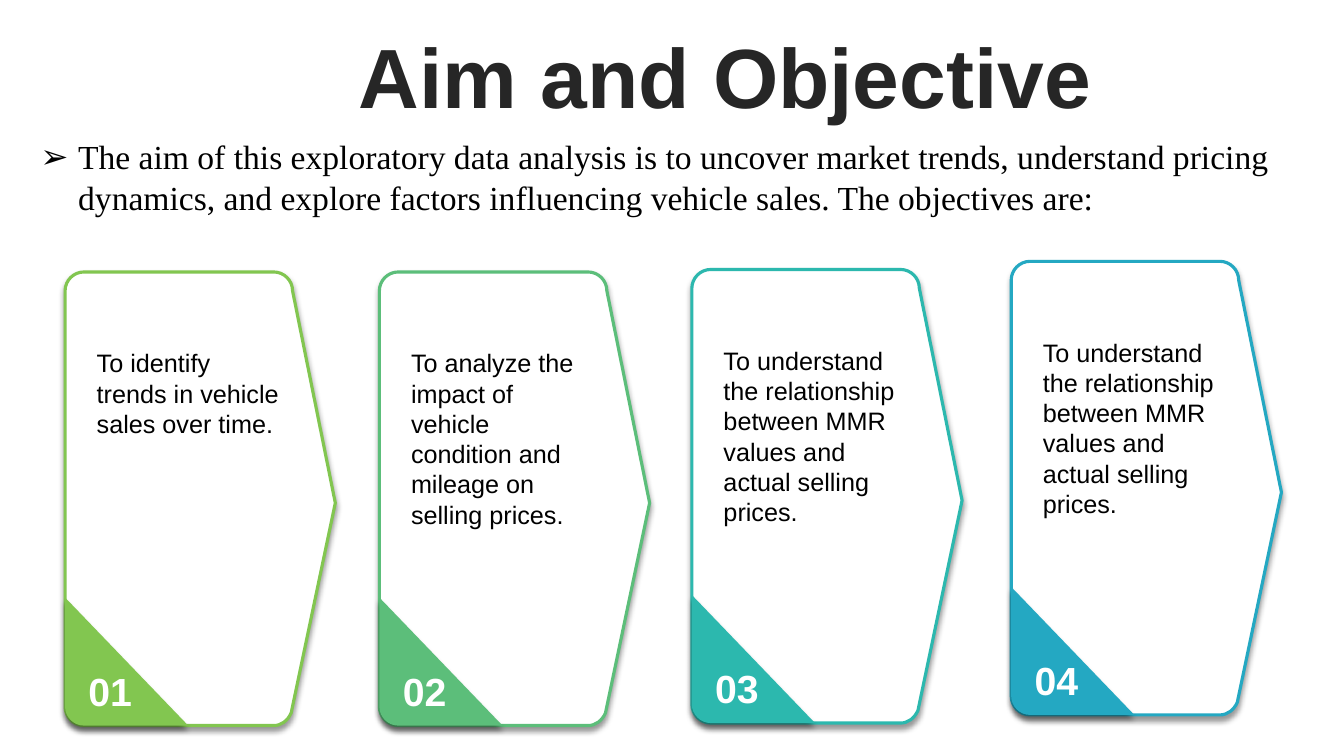
from lxml.etree import SubElement
from pptx import Presentation
from pptx.dml.color import RGBColor
from pptx.enum.text import MSO_ANCHOR, MSO_AUTO_SIZE, PP_ALIGN
from pptx.oxml.ns import qn
from pptx.util import Pt

WHITE = RGBColor(0xFF, 0xFF, 0xFF)
BLACK = RGBColor(0, 0, 0)
DARK = RGBColor(0x26, 0x26, 0x26)
LIME = RGBColor(0x82, 0xC6, 0x50)
GREEN = RGBColor(0x5C, 0xBE, 0x7A)
TEAL = RGBColor(0x2C, 0xB8, 0xAE)
BLUE = RGBColor(0x24, 0xA8, 0xC2)

CARD_H = 324
EDGE = 162.5
TIP = (193, 165)
FOLD = 88
FOLD_TOP = 232.5
RADIUS = 13.5

PRICES = ("To understand the relationship between MMR values "
          "and actual selling prices.")
CARDS = [
    (46.5, 194.3, LIME, "To identify trends in vehicle sales over time."),
    (271, 194.3, GREEN, "To analyze the impact of vehicle condition and "
                        "mileage on selling prices."),
    (494.2, 192.5, TEAL, PRICES),
    (722.3, 186.7, BLUE, PRICES),
]


def corner(start, joint, end):
    """Control points and end of a quarter circle around joint."""
    near = [tuple(p + 0.55 * (j - p) for p, j in zip(point, joint))
            for point in (start, end)]
    return [*near, end]


def place(shape, left, top, width, height):
    shape.left, shape.top = Pt(left), Pt(top)
    shape.width, shape.height = Pt(width), Pt(height)


def write(shape, text, font, size, color, bold=False, align=PP_ALIGN.LEFT):
    frame = shape.text_frame
    frame.word_wrap = True
    frame.auto_size = MSO_AUTO_SIZE.NONE
    para = frame.paragraphs[0]
    para.alignment = align
    para.space_before = Pt(0)
    run = para.add_run()
    run.text = text
    run.font.name = font
    run.font.size = Pt(size)
    run.font.bold = bold
    run.font.color.rgb = color
    return frame


def bend(shape, strokes):
    """Turn the three lines of each curved stroke into one Bezier curve."""
    lines = iter(list(shape.element.iter(qn("a:lnTo"))))
    for stroke in strokes:
        parts = [next(lines) for _ in stroke]
        if len(parts) == 3:
            arc = parts[0].makeelement(qn("a:cubicBezTo"))
            parts[0].addprevious(arc)
            for part in parts:
                arc.append(part[0])
                part.getparent().remove(part)


def outline(shapes, left, top, start, strokes, fill):
    """Draw an outline of strokes: one point is a line, three a curve."""
    spots = [(Pt(left + x), Pt(top + y))
             for x, y in [start] + sum(strokes, [])]
    builder = shapes.build_freeform(*spots[0])
    builder.add_line_segments(spots[1:], close=True)
    shape = builder.convert_to_shape()
    bend(shape, strokes)
    shape.fill.solid()
    shape.fill.fore_color.rgb = fill
    shape.line.fill.background()
    shape.shadow.inherit = False
    effects = shape.element.spPr.find(qn("a:effectLst"))
    shadow = SubElement(effects, qn("a:outerShdw"), blurRad=str(Pt(4)),
                        dist=str(Pt(3)), dir="5400000", algn="t",
                        rotWithShape="0")
    tint = SubElement(shadow, qn("a:srgbClr"), val=str(BLACK))
    SubElement(tint, qn("a:alpha"), val="40000")
    return shape


def add_card(slide, left, top, color, number, text):
    shapes = slide.shapes.add_group_shape().shapes
    start = (RADIUS, 0)
    foot = (RADIUS, CARD_H)
    low = corner(foot, (0, CARD_H), (0, CARD_H - RADIUS))
    body = [
        [(EDGE - RADIUS, 0)],
        corner((EDGE - RADIUS, 0), (EDGE, 0), (EDGE, RADIUS)),
        [TIP],
        [(161.5, 315)],
        [(159, 320.5), (154.5, CARD_H), (149, CARD_H)],
        [foot],
        low,
        [(0, RADIUS)],
        corner((0, RADIUS), (0, 0), start),
    ]
    frame = outline(shapes, left, top, start, body, WHITE)
    frame.line.color.rgb = color
    frame.line.width = Pt(2.25)
    fold = [[(FOLD, CARD_H)], [foot], low]
    outline(shapes, left, top, (0, FOLD_TOP), fold, color)

    goal = shapes.add_textbox(Pt(left + 15.5), Pt(top + 50.5),
                              Pt(145), Pt(138))
    write(goal, text, "Arial", 18, BLACK)
    label = shapes.add_textbox(Pt(left + 0.5), Pt(top + 282),
                               Pt(63.5), Pt(34))
    frame = write(label, f"{number:02}", "Arial", 28, WHITE, True,
                  PP_ALIGN.CENTER)
    frame.vertical_anchor = MSO_ANCHOR.MIDDLE
    frame.margin_left = frame.margin_right = Pt(6)
    frame.margin_top = frame.margin_bottom = Pt(0)


def add_title(slide, left, top, width, height):
    title = slide.shapes.title
    place(title, left, top, width, height)
    frame = write(title, "Aim and Objective", "Arial", 60, DARK, True,
                  PP_ALIGN.CENTER)
    frame.vertical_anchor = MSO_ANCHOR.MIDDLE
    frame.paragraphs[0].line_spacing = 0.9


def add_aim(slide, left, top, width, height):
    aim = slide.placeholders[1]
    place(aim, left, top, width, height)
    frame = write(
        aim,
        "The aim of this exploratory data analysis is to uncover market "
        "trends, understand pricing dynamics, and explore factors "
        "influencing vehicle sales. The objectives are:",
        "Times New Roman", 24, BLACK)
    frame.vertical_anchor = MSO_ANCHOR.TOP
    props = frame.paragraphs[0]._p.get_or_add_pPr()
    props.set("marL", str(Pt(27)))
    props.set("indent", str(Pt(-27)))
    SubElement(props, qn("a:buFont"), typeface="Arial")
    SubElement(props, qn("a:buChar"), char="➢")


def main():
    deck = Presentation()
    deck.slide_width, deck.slide_height = Pt(960), Pt(540)
    slide = deck.slides.add_slide(deck.slide_layouts[1])
    add_title(slide, 200, 29.5, 636, 57)
    add_aim(slide, 21.6, 93.8, 911, 65.5)
    for number, (left, top, color, text) in enumerate(CARDS, 1):
        add_card(slide, left, top, color, number, text)
    deck.save("out.pptx")


if __name__ == "__main__":
    main()
